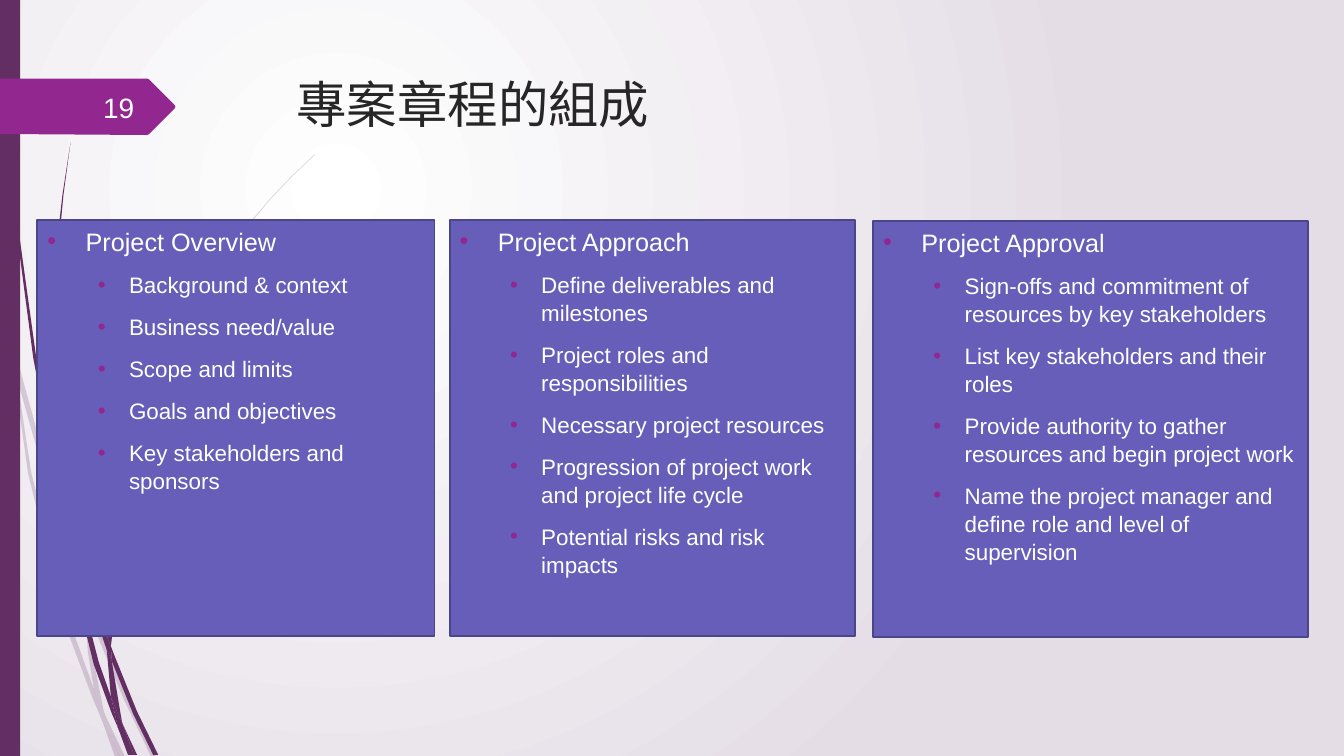
from lxml import etree
from pptx import Presentation
from pptx.dml.color import RGBColor
from pptx.enum.shapes import MSO_SHAPE
from pptx.enum.text import MSO_ANCHOR, MSO_AUTO_SIZE, PP_ALIGN
from pptx.oxml.ns import qn
from pptx.util import Inches, Pt

RECTANGLE = MSO_SHAPE.RECTANGLE
TOP, MIDDLE = MSO_ANCHOR.TOP, MSO_ANCHOR.MIDDLE
LEFT, RIGHT = PP_ALIGN.LEFT, PP_ALIGN.RIGHT
NO_AUTOFIT = MSO_AUTO_SIZE.NONE

# Outlines of the grass blades: x, y, x, y ... in inches
PALE_BLADES = [
    (.11, 3.5, .09, 3.22, 0, 2.82, 0, 2.99, .1, 3.44),
    (.58, 5.22, .84, 5.99, .85, 5.86, .62, 5.2, .14, 3.45, .17, 3.76),
    (.92, 6.07, .88, 5.96, .88, 6.1, 1.23, 6.94, 1.5, 7.51, 1.55, 7.51,
     1.27, 6.92),
    (1.19, 7.51, 1.24, 7.51, 1.05, 7.11),
    (.93, 6.83, .7, 6.19, .31, 4.69, .17, 3.76, .11, 3.5, .28, 4.7,
     .65, 6.21, .92, 6.93, 1.01, 7.14, .99, 7.07),
    (.84, 5.99, .87, 6.46, .93, 6.83, .96, 6.92, 1.05, 7.11, 1.03, 7.06,
     .91, 6.46, .88, 6.1, .88, 6.08),
    (.88, 5.84, 1.1, 4.62, 1.6, 3.49, 2.29, 2.45, 2.68, 1.98, 2.9, 1.75,
     3.12, 1.54, 3.12, 1.53, 2.89, 1.75, 2.68, 1.97, 2.28, 2.44, 1.58, 3.48,
     1.07, 4.61, .85, 5.84, .85, 5.86, .88, 5.96),
    (1.01, 7.14, 1.14, 7.51, 1.19, 7.51),
    (.96, 6.92, .93, 6.83, .99, 7.07, 1.01, 7.14, 1.19, 7.51, 1.05, 7.11),
]
DARK_BLADES = [
    (.07, 1.1, .17, 2.33, .33, 3.55, .56, 4.77, .57, 4.81, .55, 4.57,
     .55, 4.53, .36, 3.55, .19, 2.32, .08, 1.09, .05, .48, .04, 0, .03, 0,
     .04, .48),
    (.88, 5.92, 1.06, 6.45, 1.06, 6.31, .93, 5.9, .6, 4.72, .64, 5.05),
    (1.13, 6.49, 1.1, 6.41, 1.11, 6.56, 1.32, 7.08, 1.52, 7.49, 1.57, 7.49,
     1.36, 7.06),
    (1.1, 6.91, .98, 6.57, .72, 5.56, .64, 5.05, .57, 4.77, .68, 5.57,
     .93, 6.59, 1.11, 7.08, 1.17, 7.22, 1.16, 7.17),
    (.6, 4.72, .58, 4.53, .54, 3.49, .58, 2.45, .63, 1.93, .7, 1.41,
     .62, 1.93, .56, 2.45, .52, 3.49, .55, 4.49),
    (1.33, 7.49, 1.36, 7.49, 1.22, 7.19),
    (1.11, 6.33, 1.25, 5.52, 1.58, 4.76, 2.05, 4.06, 2.31, 3.74, 2.45, 3.59,
     2.61, 3.44, 2.6, 3.44, 2.45, 3.58, 2.31, 3.73, 2.04, 4.05, 1.56, 4.74,
     1.22, 5.51, 1.06, 6.31, 1.1, 6.41),
    (1.17, 7.22, 1.27, 7.49, 1.31, 7.49),
    (1.06, 6.45, 1.1, 6.91, 1.16, 7.06, 1.22, 7.19, 1.21, 7.16, 1.11, 6.56,
     1.09, 6.51),
    (1.06, 6.45, 1.09, 6.51, 1.11, 6.56, 1.1, 6.41, 1.06, 6.31),
    (1.16, 7.06, 1.1, 6.91, 1.16, 7.17, 1.17, 7.22, 1.3, 7.49, 1.33, 7.49,
     1.22, 7.19),
]
PAGE_ARROW = (0, .78, 1.46, .78, 1.48, .79, 1.73, 1.04, 1.74, 1.06,
              1.73, 1.08, 1.48, 1.33, 1.46, 1.34, 0, 1.33)

PANELS = [
    ((.37, 2.18, 3.94, 4.13), "Project Overview",
     ["Background & context", "Business need/value", "Scope and limits",
      "Goals and objectives", "Key stakeholders and sponsors"]),
    ((4.46, 2.18, 4.02, 4.13), "Project Approach",
     ["Define deliverables and milestones",
      "Project roles and responsibilities", "Necessary project resources",
      "Progression of project work and project life cycle",
      "Potential risks and risk impacts"]),
    ((8.66, 2.19, 4.31, 4.13), "Project Approval",
     ["Sign-offs and commitment of resources by key stakeholders",
      "List key stakeholders and their roles",
      "Provide authority to gather resources and begin project work",
      "Name the project manager and define role and level of supervision"]),
]


def color(value):
    return RGBColor.from_string(value)


class CharterSlide:
    FONT, PLUM, MAGENTA = "Arial", "632E62", "92278F"
    PANEL, PANEL_LINE, WHITE = "665EB8", "4B4688", "FFFFFF"

    def __init__(self, deck):
        self.page = deck.slides.add_slide(deck.slide_layouts[1])
        self.shapes = self.page.shapes

    def background(self, inner, outer):
        fill = self.page.background.fill
        fill.gradient()
        for stop, value in zip(fill.gradient_stops, (inner, outer)):
            stop.color.rgb = color(value)
        gradient = self.page.element.find(".//" + qn("a:gradFill"))
        gradient.remove(gradient.find(qn("a:lin")))
        circle = etree.SubElement(gradient, qn("a:path"), path="circle")
        etree.SubElement(circle, qn("a:fillToRect"),
                         l="50000", t="50000", r="100000", b="100000")

    def paint(self, shape, fill, line=None):
        shape.fill.solid()
        shape.fill.fore_color.rgb = color(fill)
        if line:
            shape.line.color.rgb = color(line)
            shape.line.width = Pt(1.25)
        else:
            shape.line.fill.background()

    def rectangle(self, area, fill):
        shape = self.shapes.add_shape(RECTANGLE, *map(Inches, area))
        shape.shadow.inherit = False
        self.paint(shape, fill)
        return shape

    def outline(self, numbers, fill, opacity=None):
        points = [(Inches(x), Inches(y))
                  for x, y in zip(numbers[::2], numbers[1::2])]
        builder = self.shapes.build_freeform(*points[0])
        builder.add_line_segments(points[1:])
        shape = builder.convert_to_shape()
        shape.shadow.inherit = False
        self.paint(shape, fill)
        if opacity:
            tint = shape._element.spPr.find(".//" + qn("a:srgbClr"))
            etree.SubElement(tint, qn("a:alpha"), val=str(opacity * 1000))

    def place(self, holder, area):
        """Move a placeholder to its area, in front of the decoration."""
        holder.left, holder.top, holder.width, holder.height = map(Inches, area)
        self.shapes._spTree.append(holder._element)
        return holder

    def frame(self, shape, anchor):
        frame = shape.text_frame
        frame.word_wrap = True
        frame.auto_size = NO_AUTOFIT
        frame.vertical_anchor = anchor
        return frame

    def set_text(self, para, text, size, value, font=FONT, align=LEFT):
        para.text = text
        para.alignment = align
        para.font.size = Pt(size)
        para.font.name = font
        para.font.color.rgb = color(value)

    def title(self, text, area):
        box = self.place(self.shapes.title, area)
        frame = self.frame(box, TOP)
        self.set_text(frame.paragraphs[0], text, 36, "262626",
                      "Times New Roman")

    def page_number(self, text, area):
        box = self.shapes.add_textbox(*map(Inches, area))
        para = self.frame(box, MIDDLE).paragraphs[0]
        self.set_text(para, text, 20, "FEFFFF", align=RIGHT)

    def bullet(self, para, text, level):
        self.set_text(para, text, (18, 16)[level], self.WHITE)
        para.level = level
        para.space_before = Pt(10)
        para.space_after = Pt(0)
        para.line_spacing = 1.04
        margin, hanging = ((.38, .38), (.81, .31))[level]
        props = para._p.get_or_add_pPr()
        props.set("marL", str(Inches(margin)))
        props.set("indent", str(-Inches(hanging)))
        mark = etree.Element(qn("a:buClr"))
        etree.SubElement(mark, qn("a:srgbClr"), val=self.MAGENTA)
        face = etree.Element(qn("a:buFont"), typeface=self.FONT)
        sign = etree.Element(qn("a:buChar"), char="•")
        at = props.index(props.find(qn("a:defRPr")))
        props[at:at] = [mark, face, sign]

    def panel(self, area, heading, items, holder=None):
        box = (self.place(holder, area) if holder
               else self.rectangle(area, self.PANEL))
        self.paint(box, self.PANEL, self.PANEL_LINE)
        frame = self.frame(box, TOP)
        self.bullet(frame.paragraphs[0], heading, 0)
        for item in items:
            self.bullet(frame.add_paragraph(), item, 1)


def main():
    deck = Presentation()
    deck.slide_width, deck.slide_height = Inches(13.33), Inches(7.5)
    slide = CharterSlide(deck)

    # Background and decoration
    slide.background("FFFFFF", "E4DDE6")
    for blade in PALE_BLADES:
        slide.outline(blade, slide.PLUM, opacity=20)
    for blade in DARK_BLADES:
        slide.outline(blade, slide.PLUM)
    slide.rectangle((0, 0, .2, 7.5), slide.PLUM)
    slide.outline(PAGE_ARROW, slide.MAGENTA)

    # Title and page number
    slide.title("專案章程的組成", (2.84, .68, 9.75, 1.4))
    slide.page_number("19", (.58, .86, .85, .4))

    # Three panels, the first in the body placeholder
    holders = [slide.page.placeholders[1], None, None]
    for (area, heading, items), holder in zip(PANELS, holders):
        slide.panel(area, heading, items, holder)

    deck.save("out.pptx")


if __name__ == "__main__":
    main()
